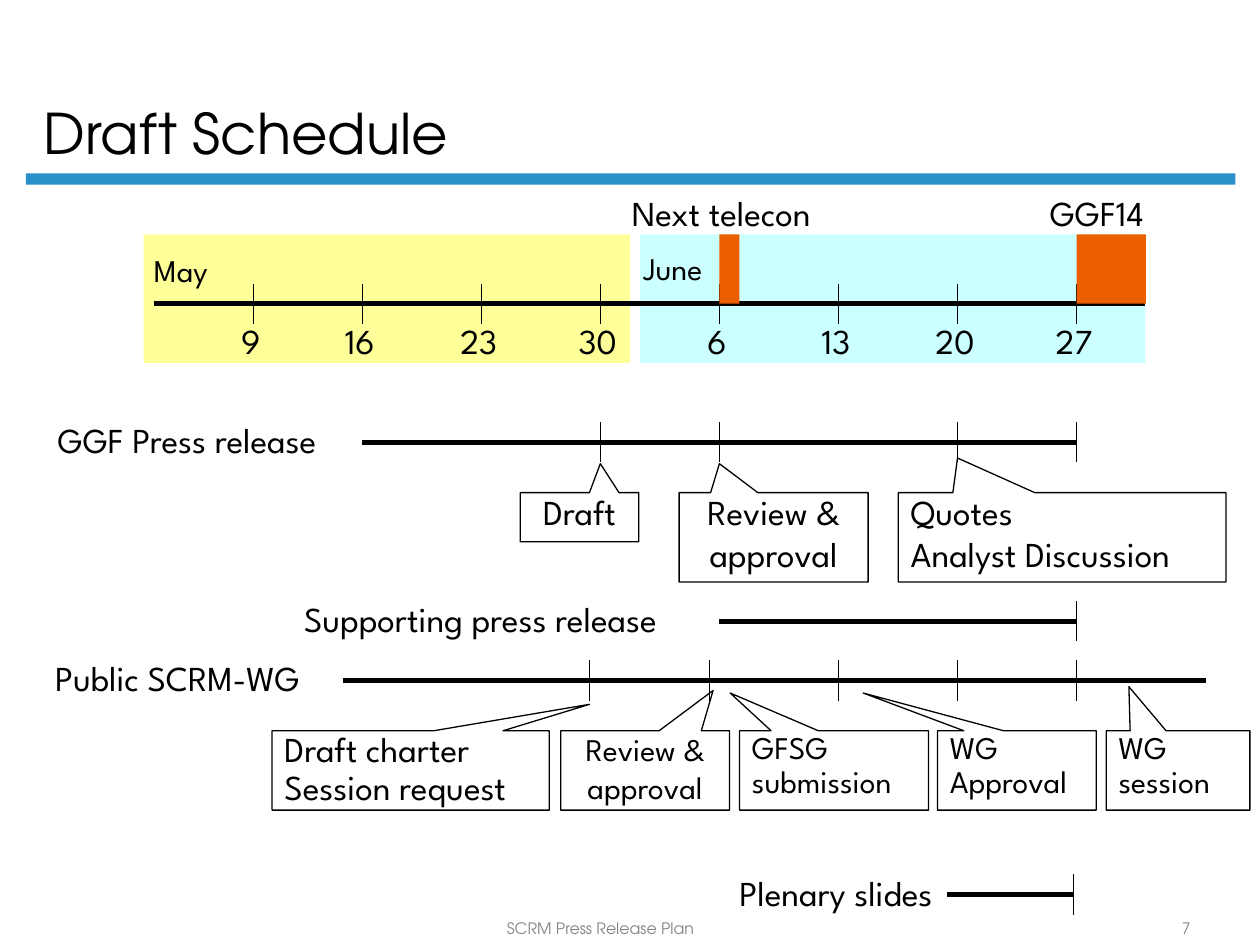
from lxml import etree
from pptx import Presentation
from pptx.dml.color import RGBColor
from pptx.enum.shapes import MSO_CONNECTOR, MSO_SHAPE
from pptx.enum.text import MSO_ANCHOR, PP_ALIGN
from pptx.oxml.ns import qn
from pptx.util import Inches, Pt

LEFT, CENTER = PP_ALIGN.LEFT, PP_ALIGN.CENTER
TOP, BOTTOM = MSO_ANCHOR.TOP, MSO_ANCHOR.BOTTOM
RECTANGLE, CALLOUT = MSO_SHAPE.RECTANGLE, MSO_SHAPE.RECTANGULAR_CALLOUT
STRAIGHT = MSO_CONNECTOR.STRAIGHT
COLUMNS, ROWS = 100, 75
BODY, HEADING = "League Spartan", "TeX Gyre Adventor"
BLACK, GREY, BLUE, ORANGE = "000000", "848589", "2990CA", "EB5F01"
YELLOW, CYAN = "FFFF99", "CCFFFF"


def color(value):
    return RGBColor.from_string(value)


def write(frame, text, size=20, font=BODY, ink=BLACK, align=CENTER,
          anchor=TOP, wrap=True, spacing=1.0, before=0):
    frame.word_wrap = wrap
    frame.vertical_anchor = anchor
    for index, line in enumerate(text.split("\n")):
        paragraph = frame.add_paragraph() if index else frame.paragraphs[0]
        paragraph.alignment = align
        paragraph.line_spacing = spacing
        paragraph.space_before = Pt(before if index else 0)
        run = paragraph.add_run()
        run.text = line
        run.font.size = Pt(size)
        run.font.name = font
        run.font.color.rgb = color(ink)


class Schedule:
    """Draws schedule elements on a slide measured in grid columns and rows."""

    def __init__(self, deck):
        self.slide = deck.slides.add_slide(deck.slide_layouts[6])
        self.column = deck.slide_width / COLUMNS
        self.row = deck.slide_height / ROWS

    def place(self, x, y):
        return round(x * self.column), round(y * self.row)

    def block(self, x, y, width, height, fill=None, kind=RECTANGLE):
        shape = self.slide.shapes.add_shape(
            kind, *self.place(x, y), *self.place(width, height))
        shape.shadow.inherit = False
        if fill:
            shape.fill.solid()
            shape.fill.fore_color.rgb = color(fill)
            shape.line.fill.background()
        else:
            shape.fill.background()
            shape.line.color.rgb = color(BLACK)
            shape.line.width = Pt(0.75)
        return shape

    def label(self, text, x, y, width, height=4.4, **style):
        box = self.slide.shapes.add_textbox(
            *self.place(x, y), *self.place(width, height))
        write(box.text_frame, text, **style)

    def stroke(self, x1, y1, x2, y2, weight):
        line = self.slide.shapes.add_connector(
            STRAIGHT, *self.place(x1, y1), *self.place(x2, y2))
        line.line.color.rgb = color(BLACK)
        line.line.width = Pt(weight)
        etree.SubElement(line._element.spPr, qn("a:effectLst"))

    def track(self, start, end, y, ticks):
        self.stroke(start, y, end, y, 3)
        for x in ticks:
            self.stroke(x, y - 1.6, x, y + 1.6, 0.75)

    def callout(self, text, x, y, width, height, tip, **style):
        bubble = self.block(x, y, width, height, kind=CALLOUT)
        bubble.adjustments[0] = (tip[0] - x) / width - 0.5
        bubble.adjustments[1] = (tip[1] - y) / height - 0.5
        write(bubble.text_frame, text, **style)


def main():
    deck = Presentation()
    deck.slide_width, deck.slide_height = Inches(10), Inches(7.5)
    schedule = Schedule(deck)

    schedule.block(2.05, 13.75, 96, 0.9, BLUE)
    schedule.label("Draft Schedule", 2.5, 1.2, 85.6, 12.5, size=32,
                   font=HEADING, align=LEFT, anchor=BOTTOM, spacing=0.9)

    days = ["16", "23", "30", "6", "13", "20", "27"]
    weeks = {"9": 20.1}
    weeks.update((day, 28.75 + 9.45 * n) for n, day in enumerate(days))
    release = weeks["27"]

    schedule.block(50.8, 18.6, 40.1, 10.2, CYAN)
    schedule.block(11.4, 18.6, 38.6, 10.2, YELLOW)
    schedule.track(12.2, 90.9, 24.1, weeks.values())
    for day, x in weeks.items():
        schedule.label(day, x - 2.8, 24.9, 5.2, wrap=False)
    schedule.label("May", 10.9, 19.4, 6.9, 4, size=18, wrap=False)
    schedule.label("June", 49.8, 19.3, 7.2, 4, size=18, wrap=False)
    for text, x, width, start, length in [
        ("Next telecon", 48, 18.5, weeks["6"], 1.6),
        ("GGF14", 81.7, 10.7, release, 5.5),
    ]:
        schedule.block(start, 18.6, length, 5.5, ORANGE)
        schedule.label(text, x, 14.7, width, wrap=False)

    for text, x, width, start, end, y, ticks in [
        ("GGF Press release", 2.1, 25.5, weeks["16"], release, 35.1,
         [weeks["30"], weeks["6"], weeks["20"], release]),
        ("Supporting press release", 20.8, 34.7, weeks["6"], release, 49.3,
         [release]),
        ("Public SCRM-WG", 2.3, 23.6, 27.2, 95.7, 54,
         [46.8, 56.3, weeks["13"], weeks["20"], release]),
        ("Plenary slides", 56.4, 19.9, 75.2, 85.2, 71, [85.2]),
    ]:
        schedule.track(start, end, y, ticks)
        schedule.label(text, x, y - 2.35, width, wrap=False)

    for text, x, width, height, tip, align in [
        ("Draft", 41.3, 9.4, 3.9, (weeks["30"], 36.8), CENTER),
        ("Review &\napproval", 53.9, 15, 7.1, (weeks["6"], 36.8), CENTER),
        ("Quotes\nAnalyst Discussion", 71.3, 26, 7.1, (weeks["20"], 36.35),
         LEFT),
    ]:
        schedule.callout(text, x, 39.1, width, height, tip, align=align,
                         spacing=0.8, before=4.5)

    compact = {"size": 18, "align": LEFT, "spacing": 0.75, "before": 3.4}
    for text, x, width, tip, style in [
        ("Draft charter\nSession request", 21.6, 22, (46.8, 55.9),
         {"size": 20, "before": 3.7}),
        ("Review &\napproval", 44.5, 13.4, (56.6, 54.8),
         {"align": CENTER, "spacing": 0.8, "before": 4.5}),
        ("GFSG\nsubmission", 58.7, 15, (57.95, 55), {}),
        ("WG\nApproval", 74.4, 12.6, (68.5, 55), {}),
        ("WG\nsession", 87.8, 11.4, (89.6, 54.5), {}),
    ]:
        schedule.callout(text, x, 58, width, 6.3, tip, **{**compact, **style})

    for text, x, width in [("SCRM Press Release Plan", 23.3, 48.7),
                           ("7", 90, 8.3)]:
        schedule.label(text, x, 72.5, width, 2.4, size=9, font=HEADING,
                       ink=GREY, anchor=BOTTOM)

    deck.save("out.pptx")


if __name__ == "__main__":
    main()
